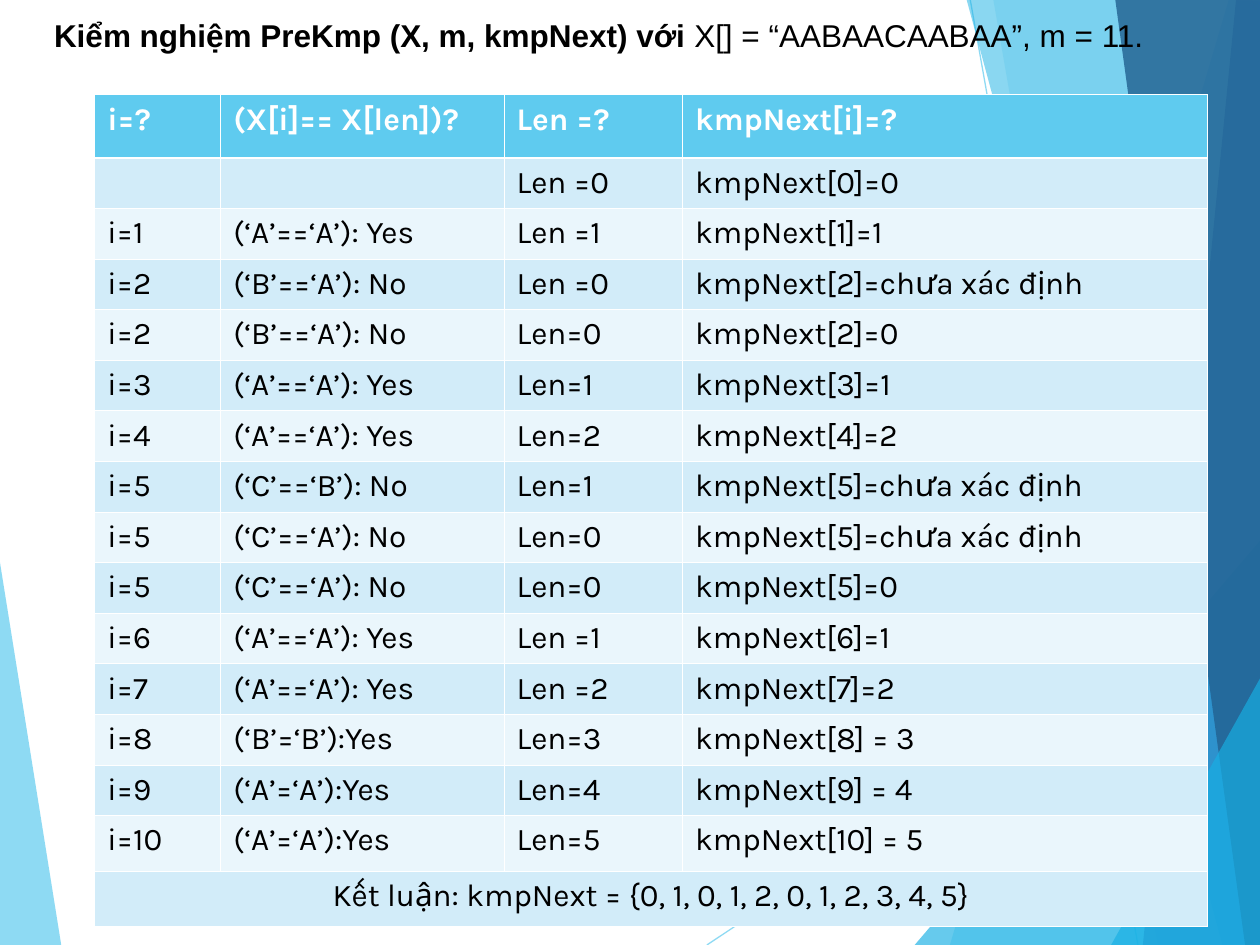
from typing import NamedTuple

from pptx import Presentation
from pptx.dml.color import RGBColor
from pptx.enum.shapes import MSO_CONNECTOR
from pptx.enum.text import MSO_AUTO_SIZE, PP_ALIGN
from pptx.oxml.ns import qn
from pptx.util import Cm, Pt
from lxml.etree import SubElement

WHITE = RGBColor(0xFF, 0xFF, 0xFF)
BLACK = RGBColor(0x00, 0x00, 0x00)
SKY = RGBColor(0x5F, 0xCB, 0xEF)
CYAN = RGBColor(0x17, 0xB0, 0xE4)
BLUE = RGBColor(0x2E, 0x83, 0xC3)
NAVY = RGBColor(0x23, 0x62, 0x92)
BANDS = (RGBColor(0xD2, 0xEC, 0xF9), RGBColor(0xEA, 0xF6, 0xFC))

WIDE, HIGH = 25.4, 19.05


class Facet(NamedTuple):
    color: RGBColor
    alpha: int  # percent
    points: list[tuple[float, float]]


class Ray(NamedTuple):
    start: tuple[float, float]
    end: tuple[float, float]


LEFT = Facet(SKY, 70, [(-0.03, 11.15), (1.24, 19.08), (-0.03, HIGH)])
RAYS = [
    Ray((14.25, HIGH), (25.43, 11.61)),
    Ray((19.56, 0), (22.94, HIGH)),
]
RIGHT = [
    Facet(SKY, 36, [(24.77, 0), (19.15, HIGH), (25.45, 19.08), (25.43, 0.03)]),
    Facet(SKY, 20, [(20.02, -0.03), (23.34, HIGH), (25.43, HIGH), (25.43, -0.03)]),
    Facet(CYAN, 66, [(18.44, HIGH), (WIDE, 10.9), (25.43, HIGH)]),
    Facet(CYAN, 50, [(19.48, -0.03), (24.64, HIGH), (25.43, 19.02), (25.43, -0.03)]),
    Facet(BLUE, 70, [(24.92, -0.03), (23.04, HIGH), (25.43, HIGH), (WIDE, -0.03)]),
    Facet(NAVY, 82, [(22.48, -0.03), (25.1, HIGH), (25.45, HIGH), (WIDE, -0.03)]),
    Facet(CYAN, 66, [(22.4, HIGH), (25.45, 13.59), (25.45, HIGH)]),
]

COLS = [2.54, 5.71, 3.6, 10.58]
ROWS = [1.27] + [1.02] * 13 + [1.12] * 2
STEPS = [
    ("i=?", "(X[i]== X[len])?", "Len =?", "kmpNext[i]=?"),
    ("", "", "Len =0", "kmpNext[0]=0"),
    ("i=1", "(‘A’==‘A’): Yes", "Len =1", "kmpNext[1]=1"),
    ("i=2", "(‘B’==‘A’): No", "Len =0", "kmpNext[2]=chưa xác định"),
    ("i=2", "(‘B’==‘A’): No", "Len=0", "kmpNext[2]=0"),
    ("i=3", "(‘A’==‘A’): Yes", "Len=1", "kmpNext[3]=1"),
    ("i=4", "(‘A’==‘A’): Yes", "Len=2", "kmpNext[4]=2"),
    ("i=5", "(‘C’==‘B’): No", "Len=1", "kmpNext[5]=chưa xác định"),
    ("i=5", "(‘C’==‘A’): No", "Len=0", "kmpNext[5]=chưa xác định"),
    ("i=5", "(‘C’==‘A’): No", "Len=0", "kmpNext[5]=0"),
    ("i=6", "(‘A’==‘A’): Yes", "Len =1", "kmpNext[6]=1"),
    ("i=7", "(‘A’==‘A’): Yes", "Len =2", "kmpNext[7]=2"),
    ("i=8", "(‘B’=‘B’):Yes", "Len=3", "kmpNext[8] = 3"),
    ("i=9", "(‘A’=‘A’):Yes", "Len=4", "kmpNext[9] = 4"),
    ("i=10", "(‘A’=‘A’):Yes", "Len=5", "kmpNext[10] = 5"),
    ("Kết luận: kmpNext = {0, 1, 0, 1, 2, 0, 1, 2, 3, 4, 5}", "", "", ""),
]


def write(para, text: str, *, font="Karla", size=18, color=BLACK,
          bold=False, align=PP_ALIGN.LEFT) -> None:
    para.alignment = align
    run = para.add_run()
    run.text = text
    run.font.name = font
    run.font.size = Pt(size)
    run.font.bold = bold
    run.font.color.rgb = color


def fade(shape, alpha: int) -> None:
    tint = shape._element.spPr.find(".//" + qn("a:srgbClr"))
    SubElement(tint, qn("a:alpha"), val=str(alpha * 1000))


def draw_facet(slide, facet: Facet) -> None:
    first, *rest = [(Cm(x), Cm(y)) for x, y in facet.points]
    pen = slide.shapes.build_freeform(*first, scale=1.0)
    pen.add_line_segments(rest, close=True)
    shape = pen.convert_to_shape()
    shape.shadow.inherit = False
    shape.fill.solid()
    shape.fill.fore_color.rgb = facet.color
    shape.line.fill.background()
    fade(shape, facet.alpha)


def draw_ray(slide, ray: Ray) -> None:
    ends = [Cm(v) for v in ray.start + ray.end]
    line = slide.shapes.add_connector(MSO_CONNECTOR.STRAIGHT, *ends)
    line.line.color.rgb = SKY
    line.line.width = Pt(0.75)
    SubElement(line._element.spPr, qn("a:effectLst"))
    fade(line, 70)


def edge(cell, side: str, width: float) -> None:
    props = cell._tc.get_or_add_tcPr()
    line = SubElement(props, qn("a:ln" + side), w=str(Pt(width)))
    fill = SubElement(line, qn("a:solidFill"))
    SubElement(fill, qn("a:srgbClr"), val=str(WHITE))


def draw_table(slide) -> None:
    frame = slide.shapes.add_table(len(ROWS), len(COLS), Cm(1.91), Cm(1.91),
                                   Cm(sum(COLS)), Cm(sum(ROWS)))
    table = frame.table
    for col, width in zip(table.columns, COLS):
        col.width = Cm(width)
    last = len(ROWS) - 1
    for r, (row, high) in enumerate(zip(table.rows, ROWS)):
        row.height = Cm(high)
        head = r == 0
        for cell, text in zip(row.cells, STEPS[r]):
            # Borders come before the fill
            for side in "LRTB":
                thick = (r, side) in ((0, "B"), (1, "T"))
                edge(cell, side, 1.47 if thick else 0.45)
            cell.fill.solid()
            cell.fill.fore_color.rgb = SKY if head else BANDS[(r - 1) % 2]
            if text:
                write(cell.text_frame.paragraphs[0], text, bold=head,
                      color=WHITE if head else BLACK,
                      align=PP_ALIGN.CENTER if r == last else PP_ALIGN.LEFT)
    table.cell(last, 0).merge(table.cell(last, len(COLS) - 1))


def draw_title(slide) -> None:
    box = slide.shapes.add_textbox(Cm(0.84), Cm(0.2), Cm(24.13), Cm(1.02))
    frame = box.text_frame
    frame.word_wrap = True
    frame.auto_size = MSO_AUTO_SIZE.SHAPE_TO_FIT_TEXT
    para = frame.paragraphs[0]
    write(para, "Kiểm nghiệm PreKmp (X, m, kmpNext) với ", font="Arial", bold=True)
    write(para, "X[] = “AABAACAABAA”, m = 11.", font="Arial")


def main() -> None:
    deck = Presentation()
    deck.slide_width, deck.slide_height = Cm(WIDE), Cm(HIGH)
    slide = deck.slides.add_slide(deck.slide_layouts[6])

    # Backdrop
    draw_facet(slide, LEFT)
    for ray in RAYS:
        draw_ray(slide, ray)
    for facet in RIGHT:
        draw_facet(slide, facet)

    # Content
    draw_title(slide)
    draw_table(slide)
    deck.save("out.pptx")


if __name__ == "__main__":
    main()
